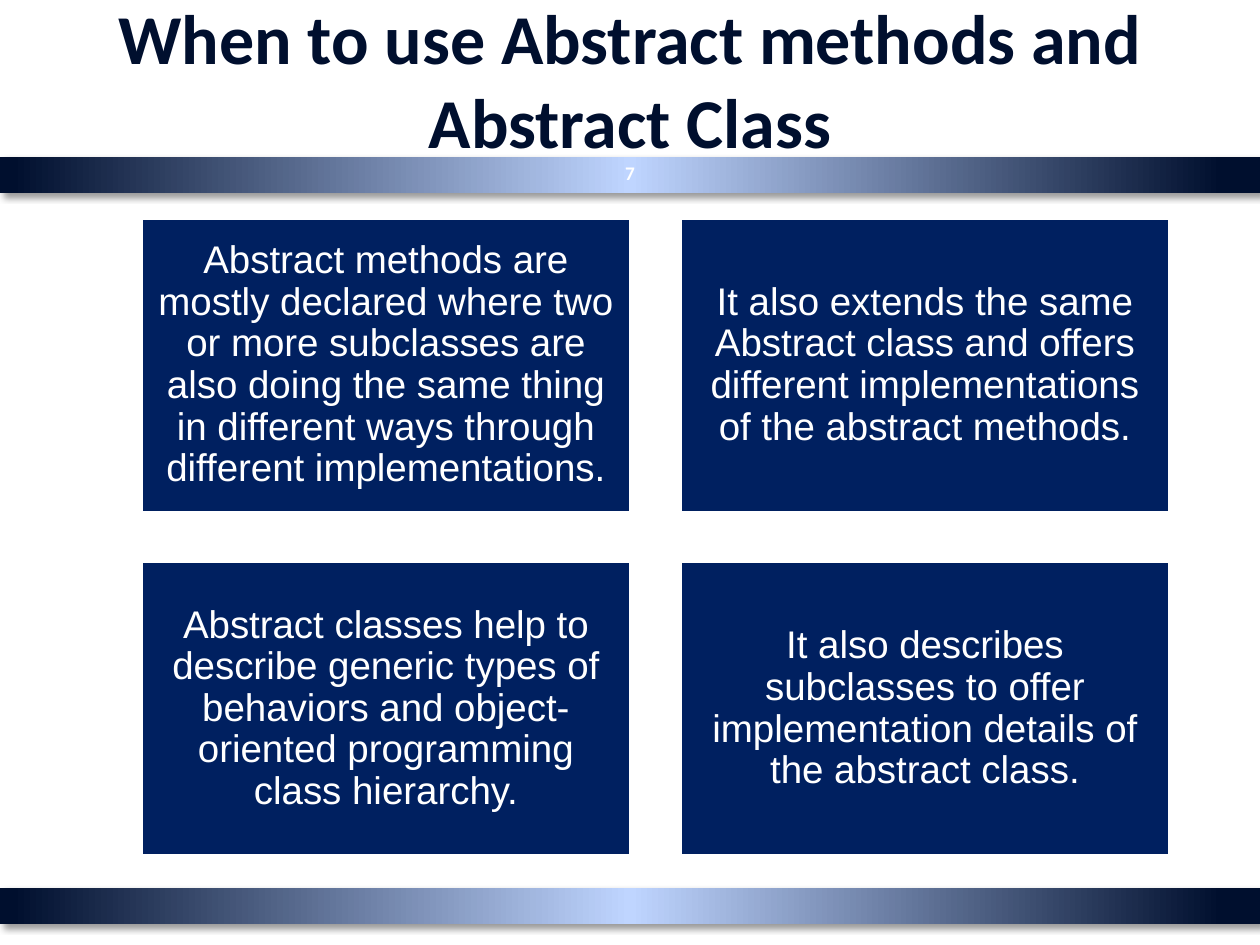
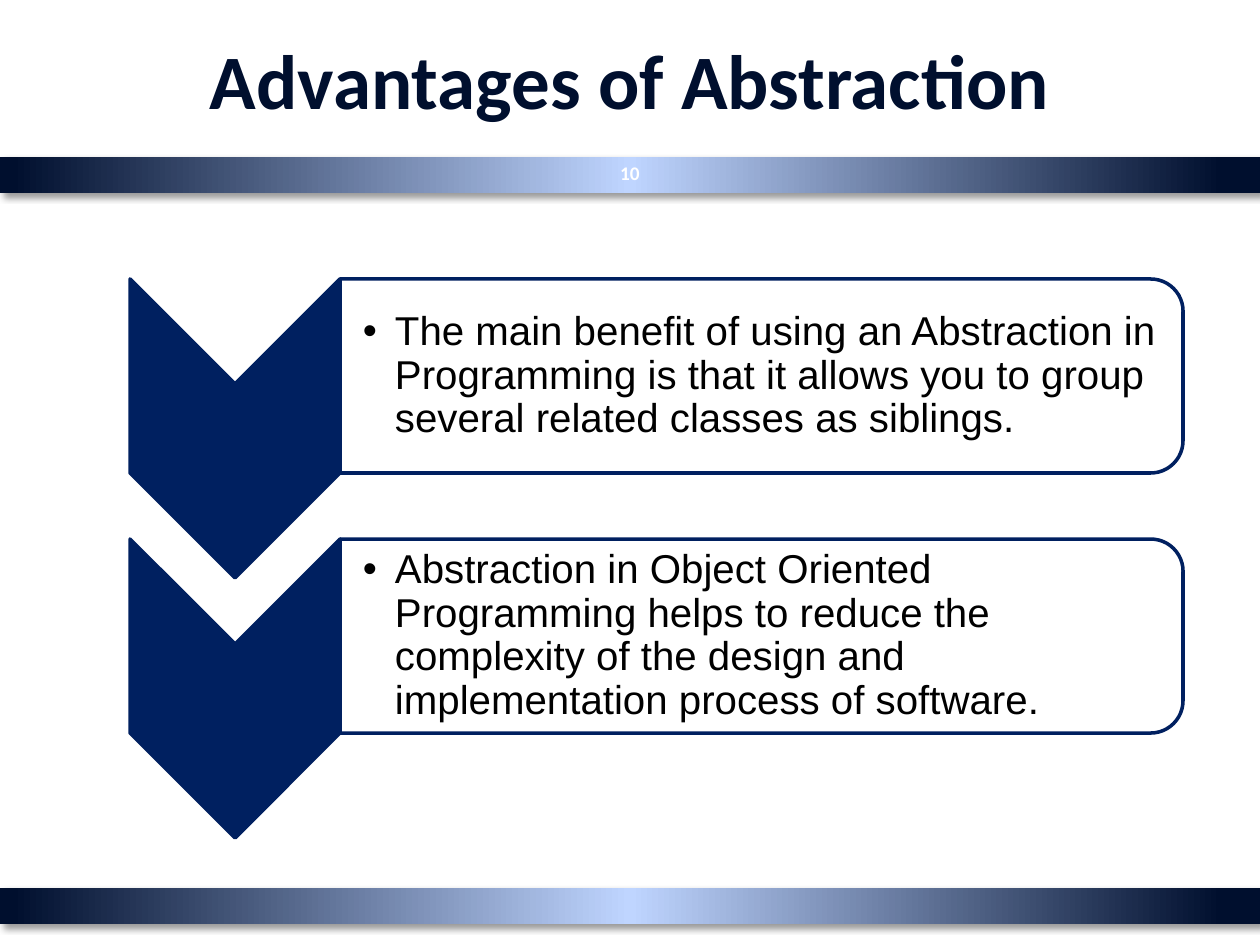
import lxml.etree
import pptx
import pptx.dml.color
import pptx.enum.shapes
import pptx.enum.text
import pptx.oxml.ns
import pptx.util

RGBColor = pptx.dml.color.RGBColor
SHAPE = pptx.enum.shapes.MSO_SHAPE
ALIGN = pptx.enum.text.PP_ALIGN
MIDDLE = pptx.enum.text.MSO_ANCHOR.MIDDLE
qn = pptx.oxml.ns.qn

INK = RGBColor(0x00, 0x0F, 0x2E)
GLOW = RGBColor(0xBF, 0xD5, 0xFF)
NAVY = RGBColor(0x00, 0x20, 0x60)
WHITE = RGBColor(0xFF, 0xFF, 0xFF)
BLACK = RGBColor(0x00, 0x00, 0x00)

SCALE = 914400 / 126
PAGE_WIDTH, PAGE_HEIGHT = 1260, 945
BAND_HEIGHT = 36
BAND_TOPS = (888, 157)
BAND_STOPS = ((0, INK), (3, INK), (50, GLOW), (99, INK), (100, INK))

TITLE = {"name": "Calibri", "bold": True}
NUMBER = {"name": "Calibri", "bold": True, "size": pptx.util.Pt(11)}
TILE_FONT = {"name": "Arial", "size": pptx.util.Pt(22)}
POINT_FONT = {"name": "Arial", "size": pptx.util.Pt(23)}
CENTERED = {"alignment": ALIGN.CENTER}
CENTERED_TIGHT = {"alignment": ALIGN.CENTER, "line_spacing": 0.9}
LEFT_TIGHT = {"alignment": ALIGN.LEFT, "line_spacing": 0.9}

TILES = (
    "Abstract methods are mostly declared where two or more subclasses are also "
    "doing the same thing in different ways through different implementations.",
    "It also extends the same Abstract class and offers different implementations "
    "of the abstract methods.",
    "Abstract classes help to describe generic types of behaviors and "
    "object-oriented programming class hierarchy.",
    "It also describes subclasses to offer implementation details of the abstract class.",
)
ADVANTAGES = (
    "The main benefit of using an Abstraction in Programming is that it allows you "
    "to group several related classes as siblings.",
    "Abstraction in Object Oriented Programming helps to reduce the complexity of "
    "the design and implementation process of software.",
)


def px(length):
    return pptx.util.Emu(round(length * SCALE))


def set_values(target, values):
    for name, value in values.items():
        setattr(target, name, value)


def add_xml(parent, tag, **values):
    element = lxml.etree.SubElement(parent, qn(tag))
    for name, value in values.items():
        element.set(name, str(value))
    return element


def write_text(shape, text, font, color, para_format, insets):
    frame = shape.text_frame
    sides = ("margin_left", "margin_top", "margin_right", "margin_bottom")
    set_values(frame, {"word_wrap": True, "vertical_anchor": MIDDLE})
    set_values(frame, dict(zip(sides, map(px, insets))))
    para = frame.paragraphs[0]
    set_values(para, para_format)
    span = para.add_run()
    span.text = text
    set_values(span.font, font)
    span.font.color.rgb = color
    return para


def add_label(page, box, *text_style):
    label = page.shapes.add_textbox(*map(px, box))
    return write_text(label, *text_style)


def add_block(page, kind, box, fill=None, line=None):
    block = page.shapes.add_shape(kind, *map(px, box))
    block.shadow.inherit = False
    if fill is not None:
        block.fill.solid()
        block.fill.fore_color.rgb = fill
    if line is None:
        block.line.fill.background()
    else:
        block.line.color.rgb = line
        block.line.width = pptx.util.Pt(2)
    return block


def add_turned_block(page, kind, box, fill, line):
    left, top, width, height = box
    shift = (width - height) / 2
    block = add_block(page, kind, (left + shift, top - shift, height, width), fill, line)
    block.rotation = 90
    return block


def add_band(page, box):
    band = add_block(page, SHAPE.RECTANGLE, box)
    band.fill.gradient()
    band.fill.gradient_angle = 180
    properties = band._element.spPr
    stops = properties.find(qn("a:gradFill")).find(qn("a:gsLst"))
    for stop in list(stops):
        stops.remove(stop)
    for position, color in BAND_STOPS:
        stop = add_xml(stops, "a:gs", pos=position * 1000)
        add_xml(stop, "a:srgbClr", val=color)
    shadow = add_xml(properties.find(qn("a:effectLst")), "a:outerShdw",
                     blurRad=pptx.util.Pt(4), dist=pptx.util.Pt(3),
                     dir=45 * 60000, algn="tl", rotWithShape=0)
    shade = add_xml(shadow, "a:srgbClr", val=BLACK)
    add_xml(shade, "a:alpha", val=40000)


def add_page(deck, title, title_size, number):
    page = deck.slides.add_slide(deck.slide_layouts[6])
    for top in BAND_TOPS:
        add_band(page, (0, top, PAGE_WIDTH, BAND_HEIGHT))
    insets = (13, 6, 13, 6)
    title_font = {**TITLE, "size": pptx.util.Pt(title_size)}
    add_label(page, (63, 0, 1134, 157), title, title_font, INK, CENTERED, insets)
    add_label(page, (604, 148, 52, 50), number, NUMBER, WHITE, CENTERED, insets)
    return page


def add_tile_grid(page, box, texts, columns=2, gap=49):
    left, top, width, height = box
    rows = len(texts) // columns
    tile_width = (width - gap * (columns - 1)) / columns
    tile_height = (height - gap * (rows - 1)) / rows
    for index, text in enumerate(texts):
        row, column = divmod(index, columns)
        tile_box = (left + column * (tile_width + gap), top + row * (tile_height + gap),
                    tile_width, tile_height)
        tile = add_block(page, SHAPE.RECTANGLE, tile_box, NAVY, WHITE)
        write_text(tile, text, TILE_FONT, WHITE, CENTERED_TIGHT, (11, 11, 11, 11))


def add_advantage(page, box, text):
    left, top, width, height = box
    chevron_width, panel_height = 210, 194
    panel_left, panel_width = left + chevron_width, width - chevron_width
    add_turned_block(page, SHAPE.CHEVRON, (left, top, chevron_width, height), NAVY, NAVY)
    panel = add_turned_block(page, SHAPE.ROUND_2_SAME_RECTANGLE,
                             (panel_left, top, panel_width, panel_height), WHITE, NAVY)
    color = panel._element.spPr.find(qn("a:solidFill"))[0]
    add_xml(color, "a:alpha", val=90000)
    para = add_label(page, (panel_left, top + 9, panel_width - 10, panel_height - 18),
                     text, POINT_FONT, BLACK, LEFT_TIGHT, (23, 2, 2, 2))
    properties = para._p.get_or_add_pPr()
    properties.set("marL", str(px(32)))
    properties.set("indent", str(px(-32)))
    add_xml(properties, "a:buFont", typeface="Arial")
    add_xml(properties, "a:buChar", char="•")


def add_advantage_list(page, box, texts, step=260):
    left, top, width, height = box
    item_height = height - step * (len(texts) - 1)
    for index, text in enumerate(texts):
        add_advantage(page, (left, top + index * step, width, item_height), text)


def main():
    deck = pptx.Presentation()
    set_values(deck, {"slide_width": px(PAGE_WIDTH), "slide_height": px(PAGE_HEIGHT)})
    usage = add_page(deck, "When to use Abstract methods and Abstract Class", 40, "7")
    add_tile_grid(usage, (141, 218, 1029, 638), TILES)
    benefits = add_page(deck, "Advantages of Abstraction", 44, "10")
    add_advantage_list(benefits, (130, 279, 1053, 559), ADVANTAGES)
    deck.save("out.pptx")


if __name__ == "__main__":
    main()
